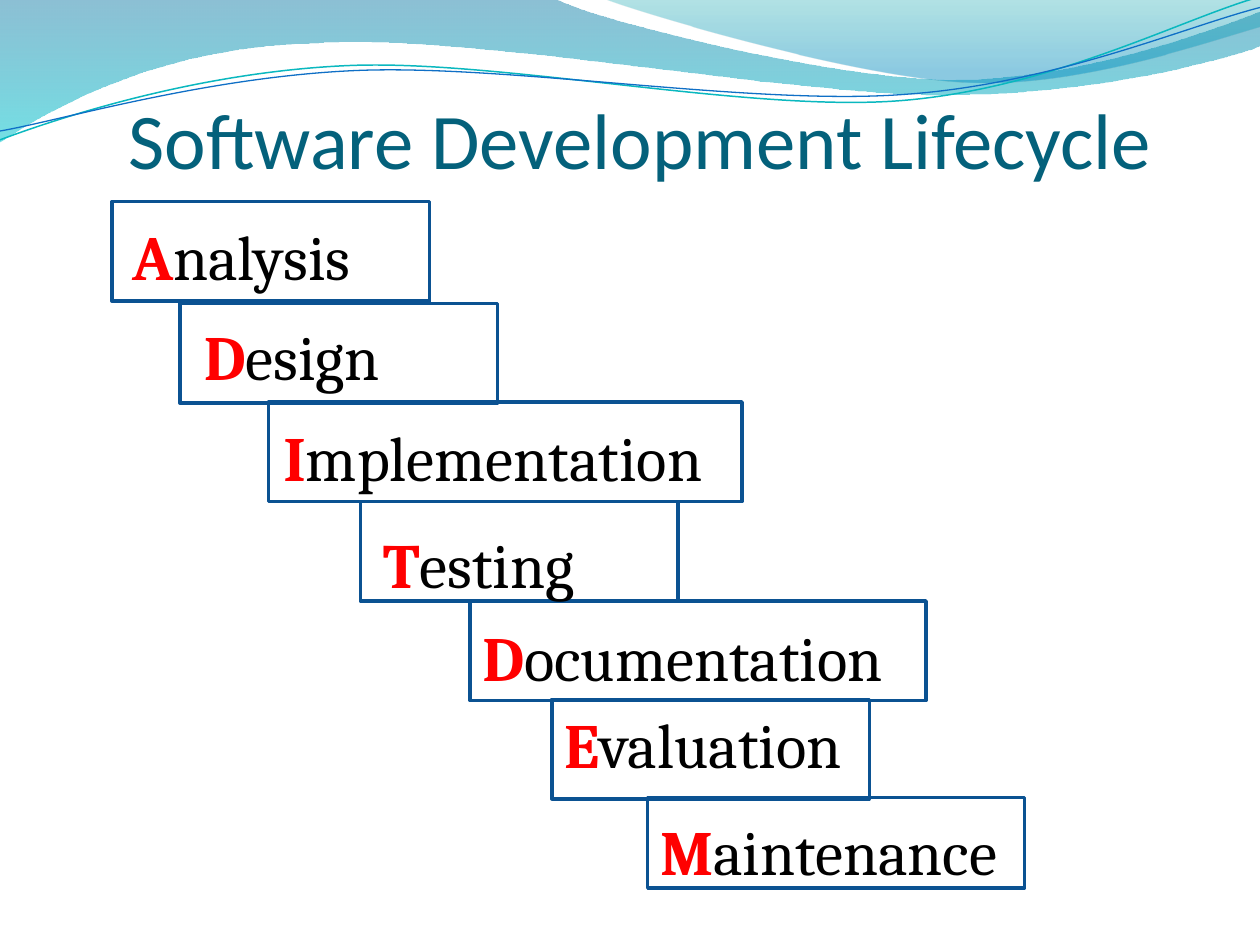
from math import cos, radians, sin

from lxml import etree
from pptx import Presentation
from pptx.dml.color import RGBColor
from pptx.enum.shapes import MSO_SHAPE as Shape
from pptx.enum.text import MSO_ANCHOR as Anchor, MSO_AUTO_SIZE as AutoSize, PP_ALIGN as Align
from pptx.oxml.ns import qn
from pptx.util import Inches, Pt

TILT = 2.7

BROAD_WAVE = [
    (0, 0), (4.4, -0.01),
    (4.76, 0.17, 6.64, 0.63, 7.58, 0.63), (8.53, 0.63, 9.58, 0.26, 10, 0.09),
    (10.01, 0.36),
    (9.83, 0.44, 8.7, 0.76, 7.46, 0.75), (6.22, 0.75, 3.82, 0.28, 2.57, 0.34),
    (1.29, 0.36, 0.46, 0.83, -0.01, 1.13),
]
RIGHT_WAVE = [
    (4.79, -0.01),
    (5.09, 0.11, 6.82, 0.62, 7.69, 0.65), (8.56, 0.69, 9.61, 0.32, 10, 0.21),
    (10, 0),
]
TEAL_LINE = [
    (0, 1.11), (0.48, 0.93, 1.58, 0.57, 2.77, 0.52),
    (3.95, 0.47, 5.93, 0.89, 7.13, 0.8), (8.33, 0.71, 9.38, 0.15, 9.98, -0.02),
]
BLUE_LINE = [
    (0, 1.04), (0.47, 0.96, 1.64, 0.61, 2.83, 0.56),
    (4.03, 0.51, 5.97, 0.84, 7.17, 0.75), (8.36, 0.67, 9.41, 0.21, 10, 0.06),
]

STAGES = [
    ("Analysis", (0.89, 1.6, 2.52, 0.79), (0.95, 1.68, 2.36)),
    ("Design", (1.43, 2.41, 2.52, 0.79), (1.52, 2.47, 2.2)),
    ("Implementation", (2.13, 3.19, 3.76, 0.79), (2.15, 3.27, 4.49)),
    ("Testing", (2.86, 3.98, 2.52, 0.79), (2.94, 4.12, 2.28)),
    ("Documentation", (3.73, 4.77, 3.62, 0.79), (3.73, 4.86, 4.27)),
    ("Evaluation", (4.38, 5.55, 2.52, 0.79), (4.38, 5.55, 2.93)),
    ("Maintenance", (5.14, 6.33, 2.99, 0.72), (5.14, 6.4, 3.54)),
]


def color(value):
    """Return the colour for a hex string."""
    return RGBColor.from_string(value)


def pairs(segment):
    """Split a flat segment into its points."""
    return list(zip(segment[::2], segment[1::2]))


def level(segments, center):
    """Turn the segments about the center to undo the tilt."""
    (cx, cy), c, s = center, cos(radians(TILT)), sin(radians(TILT))
    return [
        [value for x, y in pairs(segment)
         for value in (cx + (x - cx) * c - (y - cy) * s, cy + (x - cx) * s + (y - cy) * c)]
        for segment in segments
    ]


def add_curve(slide, segments, closed):
    """Add a freeform of straight (2 values) and cubic (6 values) segments."""
    points = [(Inches(x), Inches(y)) for segment in segments for x, y in pairs(segment)]
    builder = slide.shapes.build_freeform(*points[0])
    builder.add_line_segments(points[1:], close=closed)
    shape = builder.convert_to_shape()
    shape.shadow.inherit = False
    lines = shape.element.spPr.iter(qn("a:lnTo"))
    lines = iter(list(lines))
    for segment in segments[1:]:
        first, *others = [next(lines) for point in pairs(segment)]
        if others:
            first.tag = qn("a:cubicBezTo")
        for other in others:
            first.append(other[0])
            other.getparent().remove(other)
    return shape


def add_wave(slide, segments, stops):
    """Add a wave with a translucent gradient running downwards."""
    shape = add_curve(slide, segments, True)
    shape.fill.gradient()
    shape.fill.gradient_angle = 270
    for stop, (position, value, opacity) in zip(shape.fill.gradient_stops, stops):
        stop.position = position
        stop.color.rgb = color(value)
    for element, (position, value, opacity) in zip(shape.element.spPr.iter(qn("a:srgbClr")), stops):
        etree.SubElement(element, qn("a:alpha"), val=str(opacity * 1000))
    shape.line.fill.background()


def add_wave_line(slide, segments, center, value, width):
    """Add a thin tilted curve."""
    shape = add_curve(slide, level(segments, center), False)
    shape.rotation = 360 - TILT
    shape.fill.background()
    shape.line.color.rgb = color(value)
    shape.line.width = Pt(width)


def add_run(paragraph, text, font, size, value, bold=False):
    """Add one formatted run."""
    run = paragraph.add_run()
    run.text = text
    run.font.name = font
    run.font.size = Pt(size)
    run.font.bold = bold
    run.font.color.rgb = color(value)


def set_title(slide, text):
    """Place the title in front of the waves and fill it."""
    title = slide.shapes.title
    slide.shapes.element.append(title.element)
    title.left, title.top, title.width, title.height = map(Inches, (0.58, 0.52, 9, 0.95))
    frame = title.text_frame
    frame.auto_size = AutoSize.NONE
    frame.vertical_anchor = Anchor.BOTTOM
    frame.margin_left = frame.margin_right = frame.margin_bottom = 0
    frame.margin_top = Inches(0.05)
    frame.paragraphs[0].alignment = Align.CENTER
    add_run(frame.paragraphs[0], text, "Calibri", 45, "04617B")


def add_box(slide, place):
    """Add an outlined stage box."""
    box = slide.shapes.add_shape(Shape.RECTANGLE, *map(Inches, place))
    box.shadow.inherit = False
    box.fill.background()
    box.line.color.rgb = color("0B5292")
    box.line.width = Pt(2)


def add_label(slide, word, place):
    """Add a stage name with a red initial."""
    label = slide.shapes.add_textbox(*map(Inches, place), Inches(0.71))
    frame = label.text_frame
    frame.word_wrap = True
    frame.auto_size = AutoSize.SHAPE_TO_FIT_TEXT
    paragraph = frame.paragraphs[0]
    add_run(paragraph, word[0], "Cambria", 36, "FF0000", True)
    add_run(paragraph, word[1:], "Cambria", 36, "000000")


def main():
    """Build the lifecycle slide."""
    presentation = Presentation()
    presentation.slide_width, presentation.slide_height = Inches(10), Inches(7.5)
    slide = presentation.slides.add_slide(presentation.slide_layouts[5])
    add_wave(slide, BROAD_WAVE, [(0, "0074A1", 45), (1, "00C6CF", 55)])
    add_wave(slide, RIGHT_WAVE, [(0, "00A1A9", 30), (0.8, "008BBF", 45)])
    add_wave_line(slide, TEAL_LINE, (4.99, 0.58), "0AB8BF", 0.85)
    add_wave_line(slide, BLUE_LINE, (5, 0.59), "0F6FC6", 0.75)
    set_title(slide, "Software Development Lifecycle")
    for word, box, label in STAGES:
        add_box(slide, box)
    for word, box, label in STAGES:
        add_label(slide, word, label)
    presentation.save("out.pptx")


if __name__ == "__main__":
    main()
